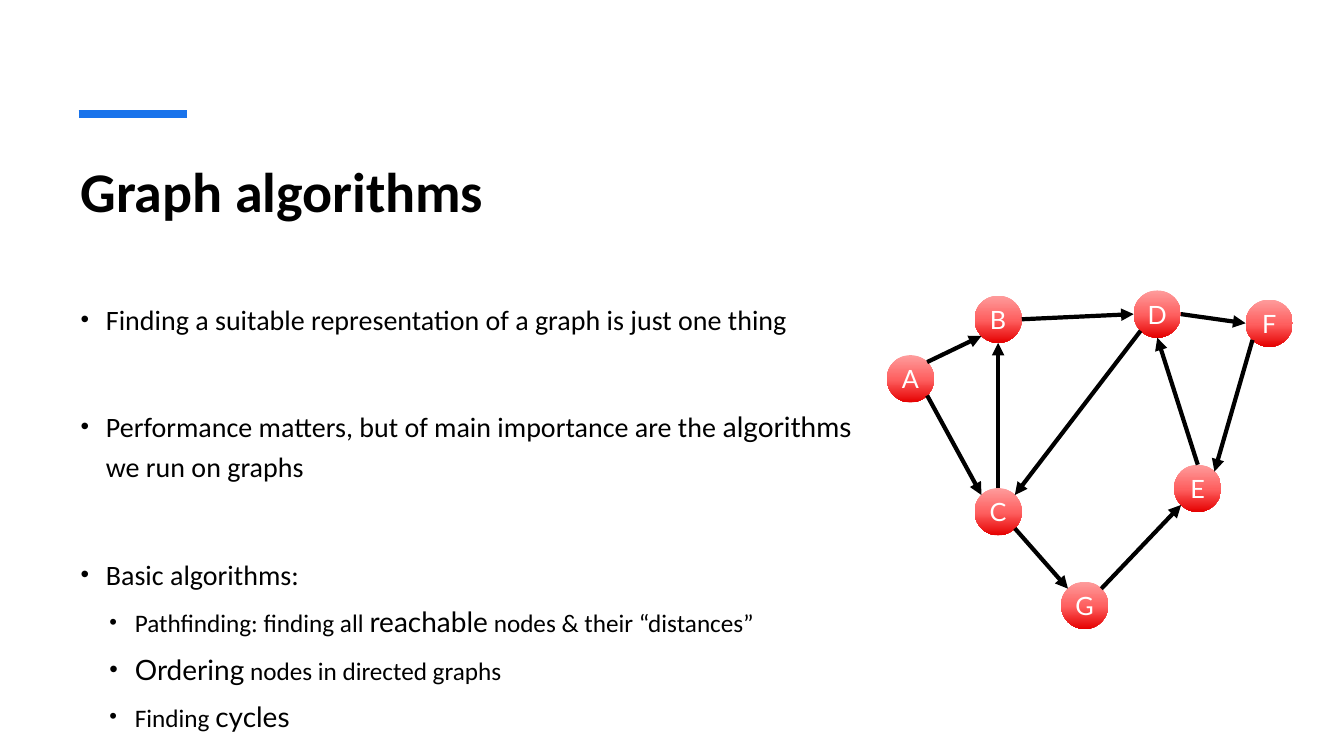
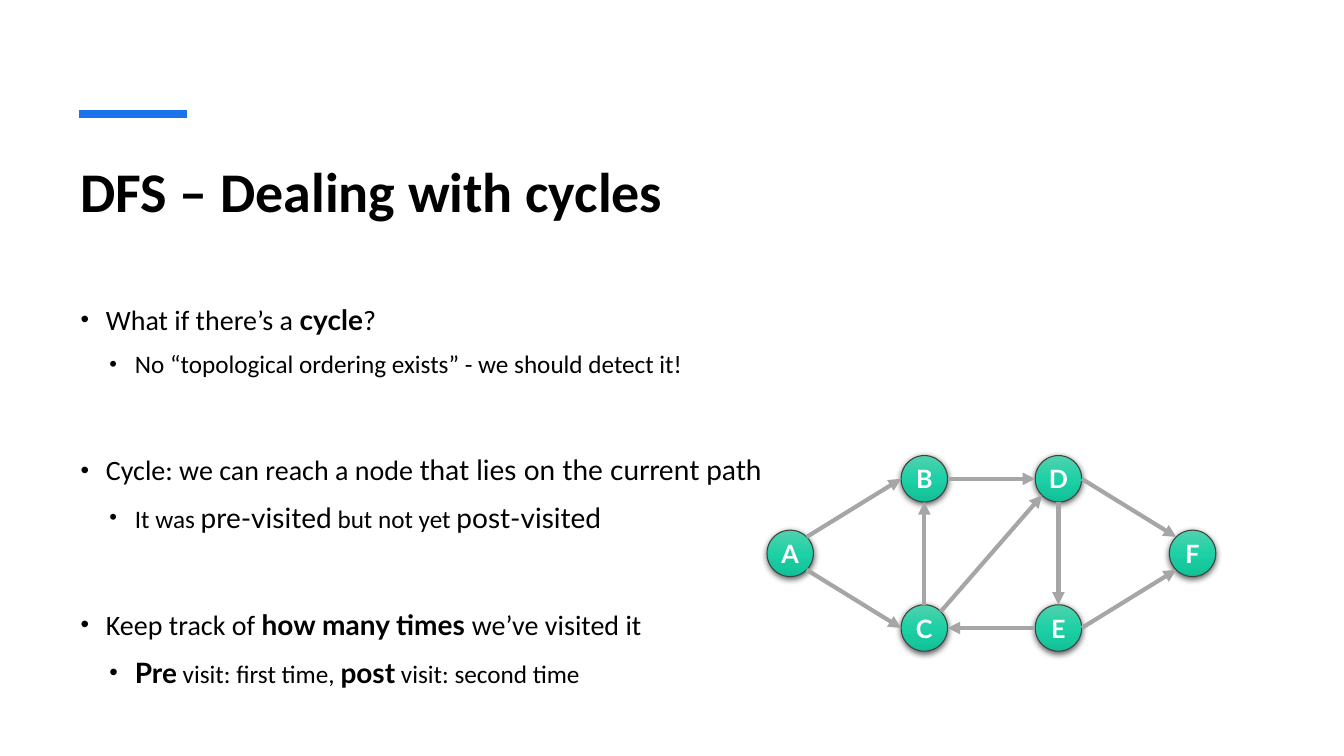
from math import sqrt

from lxml.etree import SubElement
from pptx import Presentation
from pptx.dml.color import RGBColor
from pptx.enum.shapes import MSO_CONNECTOR, MSO_SHAPE
from pptx.enum.text import MSO_ANCHOR, PP_ALIGN
from pptx.oxml.ns import qn
from pptx.util import Cm, Pt

# Shared look
BLUE, BLACK, WHITE = "1973EB", "000000", "FFFFFF"
HEAD, ACCENT = "Calibri", "Lato"
LEFT, WIDE = 1.78, 30.25
GAP = 48  # points above each new topic
LEVELS = [  # text size, left margin in cm, space before in points
    (20, 0.64, GAP),
    (18, 1.37, 5),
]

# Node and arrow styles; gradient stops run from top to bottom
RED = {"size": 1.19, "stops": [(0, "FE9C9C"), (52, "FE5F5F"), (100, "E50101")],
       "arrow": BLACK, "bold": False, "rim": None}
GREEN = {"size": 1.17, "stops": [(0, "50D2AE"), (50, "1DD0A6"), (100, "12C098")],
         "arrow": "A6A6A6", "bold": True, "rim": "404040"}

# Points on a circle, in radii from its centre
DIAG = sqrt(0.5)
SITES = {"n": (0, -1), "s": (0, 1), "w": (-1, 0), "e": (1, 0),
         "nw": (-DIAG, -DIAG), "ne": (DIAG, -DIAG),
         "sw": (-DIAG, DIAG), "se": (DIAG, DIAG)}


def color(code):
    return RGBColor.from_string(code)


def add(parent, tag, **attrs):
    return SubElement(parent, qn(tag), attrs)


def write(par, text, size=20, font=HEAD, bold=False, ink=BLACK):
    run = par.add_run()
    run.text = text
    run.font.size = Pt(size)
    run.font.name = font
    run.font.bold = bold
    run.font.color.rgb = color(ink)


def link(shapes, start, end, ink, width, arrow=False):
    line = shapes.add_connector(MSO_CONNECTOR.STRAIGHT,
                                *[Cm(v) for v in (*start, *end)])
    line.line.color.rgb = color(ink)
    line.line.width = Pt(width)
    props = line.element.spPr
    if arrow:
        add(props.find(qn("a:ln")), "a:tailEnd", type="triangle")
    add(props, "a:effectLst")


def header(slide, text):
    # Accent bar and title
    link(slide.shapes, (1.98, 2.87), (4.7, 2.87), BLUE, 6)
    title = slide.shapes.title
    title.left, title.top = Cm(LEFT), Cm(3.81)
    title.width, title.height = Cm(WIDE), Cm(3.05)
    frame = title.text_frame
    frame.vertical_anchor = MSO_ANCHOR.TOP
    par = frame.paragraphs[0]
    par.alignment = PP_ALIGN.LEFT
    write(par, text, size=40, bold=True)


def body(slide, box, lines):
    # Bulleted text: a plain string, or (text, bold) for an accented run
    frame = slide.shapes.add_textbox(*[Cm(v) for v in box]).text_frame
    frame.word_wrap = True
    for row, (level, *runs) in enumerate(lines):
        size, margin, space = LEVELS[level]
        par = frame.add_paragraph() if row else frame.paragraphs[0]
        par.level = level
        par.line_spacing = 1.2
        par.space_before = Pt(space if row else 0)
        props = par._p.get_or_add_pPr()
        props.set("marL", str(Cm(margin)))
        props.set("indent", str(-Cm(0.64)))
        add(props, "a:buSzPct", val="87000")
        add(props, "a:buFont", typeface="Arial")
        add(props, "a:buChar", char="•")
        for run in runs:
            if isinstance(run, str):
                write(par, run, size=size)
            else:
                write(par, run[0], font=ACCENT, bold=run[1])


def node(shapes, name, x, y, style):
    size = Cm(style["size"])
    ball = shapes.add_shape(MSO_SHAPE.OVAL, Cm(x), Cm(y), size, size)
    ball.shadow.inherit = False
    ball.fill.gradient()
    ball.fill.gradient_angle = 270
    props = ball.element.spPr
    stops = props.find(".//" + qn("a:gsLst"))
    for old in list(stops):
        stops.remove(old)
    for place, code in style["stops"]:
        stop = add(stops, "a:gs", pos=str(place * 1000))
        add(stop, "a:srgbClr", val=code)
    if style["rim"]:
        ball.line.color.rgb = color(style["rim"])
        ball.line.width = Pt(0.75)
        glow = add(props.find(qn("a:effectLst")), "a:outerShdw",
                   blurRad=str(Pt(4.5)), dist=str(Pt(1.5)), dir="5400000",
                   algn="ctr", rotWithShape="0")
        add(add(glow, "a:srgbClr", val=BLACK), "a:alpha", val="63000")
    else:
        ball.line.fill.background()
    frame = ball.text_frame
    frame.margin_left = frame.margin_right = 0
    frame.margin_top = frame.margin_bottom = 0
    frame.vertical_anchor = MSO_ANCHOR.MIDDLE
    frame.word_wrap = False
    par = frame.paragraphs[0]
    par.alignment = PP_ALIGN.CENTER
    write(par, name, size=18, font=ACCENT, bold=style["bold"], ink=WHITE)


def graph(slide, left, top, spots, edges, style):
    # Nodes at offsets from the corner; edges as "from site to site"
    shapes = slide.shapes.add_group_shape().shapes
    half = style["size"] / 2

    def point(name, site):
        x, y = spots[name]
        across, down = SITES[site]
        return left + x + half * (1 + across), top + y + half * (1 + down)

    for name, (x, y) in spots.items():
        node(shapes, name, left + x, top + y, style)
    for edge in edges:
        tail, out, tip, into = edge.split()
        link(shapes, point(tail, out), point(tip, into),
             style["arrow"], 3, arrow=True)


def basics(slide):
    header(slide, "Graph algorithms")
    body(slide, (LEFT, 7.32, 20.57, 11.73), [
        (0, "Finding a suitable representation of a graph is just one thing"),
        (0, "Performance matters, but of main importance are the ",
         ("algorithms", False), " we run on graphs"),
        (0, "Basic algorithms:"),
        (1, "Pathfinding: finding all ", ("reachable", False),
         " nodes & their “distances”"),
        (1, ("Ordering", False), " nodes in directed graphs"),
        (1, "Finding ", ("cycles", False)),
    ])
    spots = {"A": (0, 1.63), "B": (2.21, 0.13), "C": (2.21, 4.98),
             "D": (6.22, 0), "E": (7.24, 4.39), "F": (9.04, 0.23),
             "G": (4.39, 7.34)}
    edges = ["A se C nw", "A ne B sw", "B e D w", "C n B s", "D sw C ne",
             "D e F w", "F sw E ne", "E n D s", "C se G nw", "G ne E sw"]
    graph(slide, 22.35, 7.32, spots, edges, RED)


def loops(slide):
    header(slide, "DFS – Dealing with cycles")
    body(slide, (LEFT, 7.32, 24.89, 10.87), [
        (0, "What if there’s a ", ("cycle", True), "?"),
        (1, "No “topological ordering exists” - we should detect it!"),
        (0, "Cycle: we can reach a node ",
         ("that lies on the current path", False)),
        (1, "It was ", ("pre-visited", False), " but not yet ",
         ("post-visited", False)),
        (0, "Keep track of ", ("how many times ", True), "we’ve visited it"),
        (1, ("Pre", True), " visit: first time, ", ("post", True),
         " visit: second time"),
    ])
    grid = {"A": (0, 1), "B": (1, 0), "C": (1, 2),
            "D": (2, 0), "E": (2, 2), "F": (3, 1)}
    spots = {name: (col * 3.38, row * 1.88)
             for name, (col, row) in grid.items()}
    edges = ["A ne B w", "B e D w", "A se C w", "E w C e", "C n B s",
             "D e F nw", "E e F sw", "D s E n", "C ne D sw"]
    graph(slide, 19.33, 11.48, spots, edges, GREEN)


def main():
    deck = Presentation()
    deck.slide_width, deck.slide_height = Cm(33.87), Cm(19.05)
    for build in (basics, loops):
        build(deck.slides.add_slide(deck.slide_layouts[5]))
    deck.save("out.pptx")


if __name__ == "__main__":
    main()
